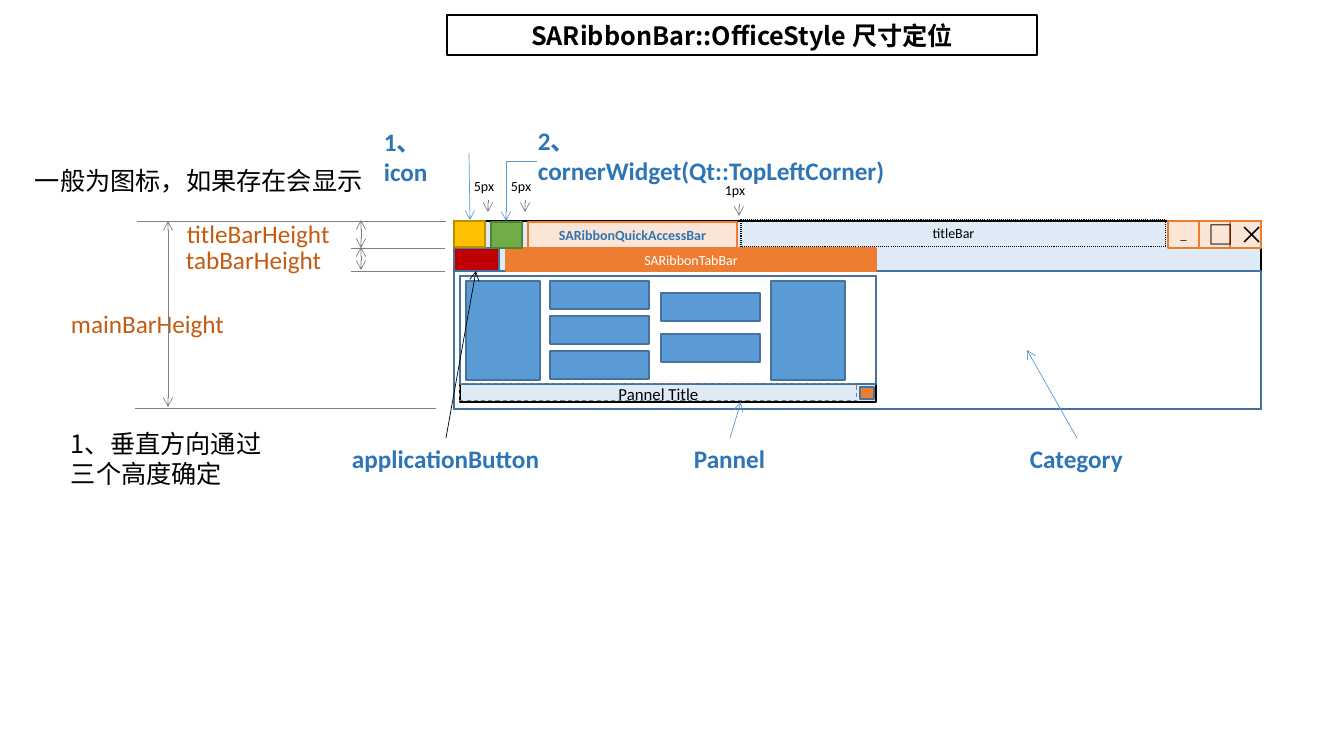
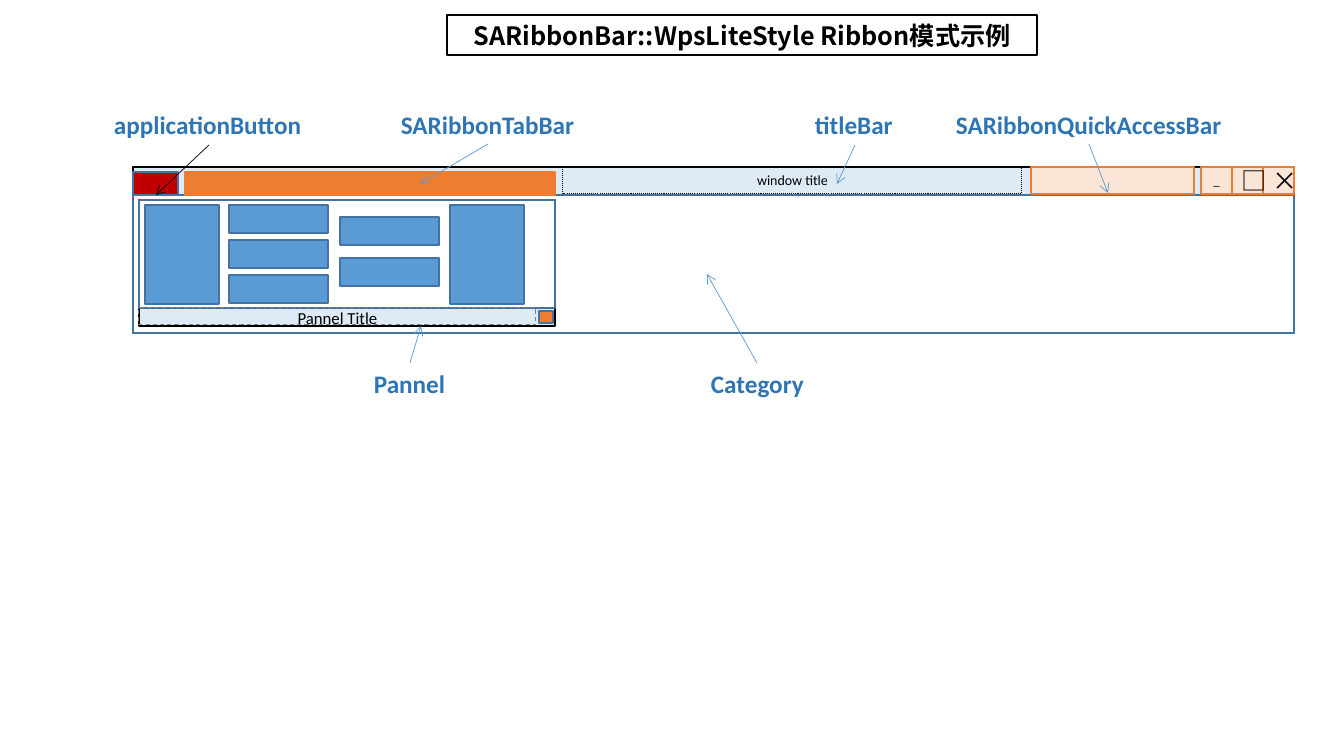
"""Build two slides that show the layout of ribbon bars."""
import pptx
import pptx.util
import pptx.dml.color
import pptx.enum.dml
import pptx.enum.shapes
import pptx.enum.text
import pptx.oxml.ns
import lxml.etree

LATIN, CJK = "Calibri", "Noto Sans CJK SC"
BLACK, WHITE, GRAY = "000000", "FFFFFF", "808080"
BLUE, EDGE, PALE, LABEL = "5B9BD5", "43739E", "DEEBF7", "2E75B6"
ORANGE, PEACH, RUST, RED = "ED7D31", "FBE5D6", "C55A11", "C00000"
DASH = pptx.enum.dml.MSO_LINE
ANCHOR = pptx.enum.text.MSO_ANCHOR
ALIGN = pptx.enum.text.PP_ALIGN
FIT = pptx.enum.text.MSO_AUTO_SIZE


def px(n):
    """Turn pixels into EMU."""
    return pptx.util.Emu(round(n * 914400 / 100.8))


def rgb(color):
    """Turn a hex string into a colour."""
    return pptx.dml.color.RGBColor.from_string(color)


def sub(parent, tag, **attrs):
    """Append a DrawingML element."""
    return lxml.etree.SubElement(parent, pptx.oxml.ns.qn("a:" + tag), attrs)


class Deck:
    """Hold the style and the current slide."""

    def __init__(self):
        self.prs = pptx.Presentation()
        self.prs.slide_width, self.prs.slide_height = px(1344), px(756)
        self.s = None

    def slide(self, title):
        """Start a slide with a framed title."""
        self.s = self.prs.slides.add_slide(self.prs.slide_layouts[5])
        sp = self.s.shapes.title
        self.place(sp, 447, 15, 590, 40)
        self.paint(sp, WHITE, BLACK)
        self.put_text(sp, title, font=CJK, bold=True, align=ALIGN.CENTER)

    def place(self, sp, x, y, w, h):
        """Move and size a shape."""
        box = {"left": x, "top": y, "width": w, "height": h}
        for name, value in box.items():
            setattr(sp, name, px(value))

    def paint(self, sp, fill, line, width=1, dash=None):
        """Set the fill and outline of a shape."""
        if fill:
            sp.fill.solid()
            sp.fill.fore_color.rgb = rgb(fill)
        else:
            sp.fill.background()
        sp.line.color.rgb = rgb(line)
        sp.line.width = pptx.util.Pt(width)
        if dash:
            sp.line.dash_style = dash

    def put_text(self, sp, text, size=18, color=BLACK, font=LATIN, bold=False,
                 align=ALIGN.LEFT, anchor=ANCHOR.MIDDLE, wrap=True, fit=FIT.NONE):
        """Put one formatted paragraph into a shape."""
        tf = sp.text_frame
        frame = {"word_wrap": wrap, "auto_size": fit, "vertical_anchor": anchor}
        for name, value in frame.items():
            setattr(tf, name, value)
        p = tf.paragraphs[0]
        p.alignment = align
        r = p.add_run()
        r.text = text
        r.font.color.rgb = rgb(color)
        style = {"size": pptx.util.Pt(size), "bold": bold, "name": font}
        for name, value in style.items():
            setattr(r.font, name, value)
        sub(r.font._element, "ea", typeface=CJK)

    def rect(self, x, y, w, h, fill=BLUE, line=EDGE, text=None, width=1,
             dash=None, **style):
        """Add a rectangle with optional centred text."""
        kind = pptx.enum.shapes.MSO_SHAPE.RECTANGLE
        sp = self.s.shapes.add_shape(kind, px(x), px(y), px(w), px(h))
        sp.shadow.inherit = False
        self.paint(sp, fill, line, width, dash)
        if text:
            self.put_text(sp, text, align=ALIGN.CENTER, **style)
        return sp

    def note(self, x, y, w, h, text, **style):
        """Add a text box."""
        sp = self.s.shapes.add_textbox(px(x), px(y), px(w), px(h))
        self.put_text(sp, text, anchor=ANCHOR.TOP, fit=FIT.SHAPE_TO_FIT_TEXT, **style)

    def label(self, x, y, w, text, wrap=False):
        """Add a bold blue name."""
        self.note(x, y, w, 40, text, color=LABEL, bold=True, wrap=wrap)

    def line(self, x1, y1, x2, y2, color=BLUE, ends=("tailEnd",)):
        """Add a thin line with arrowheads at the given ends."""
        kind = pptx.enum.shapes.MSO_CONNECTOR.STRAIGHT
        c = self.s.shapes.add_connector(kind, px(x1), px(y1), px(x2), px(y2))
        c.line.color.rgb = rgb(color)
        c.line.width = pptx.util.Pt(0.5)
        for end in ends:
            sub(c.line._ln, end, type="arrow")
        sub(c._element.spPr, "effectLst")

    def ribbon(self, x, y, w, body_y, tab_text=None):
        """Add the bar, tabs, window buttons, category and panel."""
        self.rect(x, y, w, body_y + 138 - y, PALE, BLACK)
        self.rect(x, body_y, w, 138, WHITE)
        self.rect(x, body_y - 23, 45, 23, RED)
        self.rect(x + 52, body_y - 23, 370, 23, ORANGE, ORANGE, tab_text,
                  size=10, color=WHITE)
        for i, (sign, size, font) in enumerate(
                [("×", 18, CJK), ("□", 18, CJK), ("_", 9, LATIN)], 1):
            self.rect(x + w - 31 * i, y, 31, 27, PEACH, ORANGE, sign,
                      size=size, font=font)
        self.panel(x + 6, body_y + 5)

    def panel(self, x, y):
        """Add a panel of large and small buttons."""
        self.rect(x, y, 416, 126, PALE, BLACK)
        self.rect(x, y, 416, 108, WHITE)
        self.rect(x + 400, y + 111, 14, 12, ORANGE)
        for dx in (6, 311):
            self.rect(x + dx, y + 5, 74, 99)
        for dx, rows in ((90, (5, 40, 75)), (201, (17, 58))):
            for dy in rows:
                self.rect(x + dx, y + dy, 99, 28)
        sp = self.rect(x, y + 108, 397, 17, None, GRAY, "Pannel Title", 0.75,
                       DASH.DASH, size=12, anchor=ANCHOR.TOP)
        for side in ("left", "top", "right", "bottom"):
            setattr(sp.text_frame, "margin_" + side, 0)

    def window_title(self, x, y, w, text):
        """Add the dotted title area."""
        self.rect(x, y, w, 27, None, BLACK, text, 0.75, DASH.ROUND_DOT,
                  size=10, anchor=ANCHOR.TOP)


d = Deck()

d.slide("SARibbonBar::OfficeStyle 尺寸定位")
d.ribbon(454, 221, 807, 271, "SARibbonTabBar")
d.rect(528, 222, 209, 26, PEACH, ORANGE, "SARibbonQuickAccessBar",
       size=10, color=LABEL, bold=True)
d.window_title(741, 220, 425, "titleBar")
d.rect(454, 221, 31, 26, "FFC000", "BD8E00")
d.rect(491, 222, 31, 26, "70AD47", "538035")
for x, y, w, text, wrap in [
        (1020, 438, 113, "Category", False),
        (342, 438, 208, "applicationButton", False),
        (684, 438, 92, "Pannel", False),
        (528, 120, 390, "2、cornerWidget(Qt::TopLeftCorner)", True),
        (374, 121, 90, "1、icon", True)]:
    d.label(x, y, w, text, wrap)
for x, y, text in [(177, 213, "titleBarHeight"), (176, 239, "tabBarHeight"),
                   (61, 303, "mainBarHeight")]:
    d.note(x, y, 174, 40, text, color=RUST)
d.note(25, 160, 355, 40, "一般为图标，如果存在会显示", font=CJK)
d.note(61, 423, 221, 72, "1、垂直方向通过三个高度确定", font=CJK)
for x, y, text in [(464, 173, "5px"), (501, 173, "5px"), (715, 177, "1px")]:
    d.note(x, y, 49, 27, text, size=10)
    d.line(x + 24, y + 27, x + 24, y + 39, GRAY)
d.line(1077, 438, 1027, 350)
d.line(446, 438, 476, 271, BLACK)
d.line(730, 438, 741, 402)
d.line(469, 153, 470, 220)
d.line(506, 161, 506, 221)
d.line(506, 161, 537, 161, ends=())
for x1, x2, y in [(137, 446, 221), (351, 445, 248), (351, 445, 271),
                  (135, 436, 408)]:
    d.line(x2, y, x1, y, GRAY, ())
for x, y1, y2 in [(361, 220, 248), (361, 247, 270), (168, 221, 407)]:
    d.line(x, y1, x, y2, GRAY, ("headEnd", "tailEnd"))

d.slide("SARibbonBar::WpsLiteStyle Ribbon模式示例")
d.ribbon(133, 167, 1161, 195)
d.rect(1031, 167, 163, 27, PEACH, ORANGE)
d.window_title(563, 167, 459, "window title")
for x, y, w, text in [
        (701, 363, 113, "Category"), (364, 363, 92, "Pannel"),
        (391, 104, 194, "SARibbonTabBar"), (805, 104, 98, "titleBar"),
        (946, 104, 286, "SARibbonQuickAccessBar"),
        (104, 104, 208, "applicationButton")]:
    d.label(x, y, w, text)
for ends in [(757, 363, 707, 274), (410, 363, 421, 326), (488, 144, 420, 184),
             (855, 145, 837, 184), (1089, 144, 1108, 193)]:
    d.line(*ends)
d.line(209, 145, 156, 195, BLACK)

d.prs.save("out.pptx")
